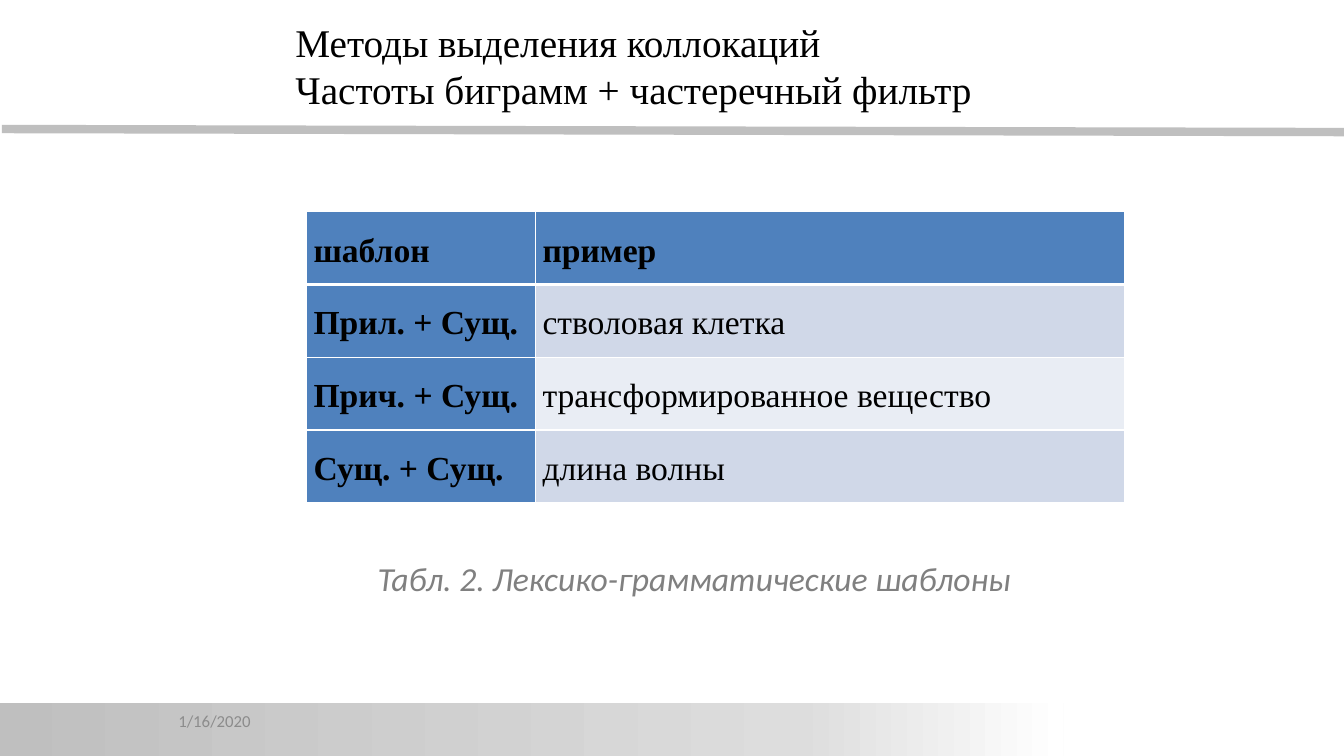
from copy import deepcopy

from lxml import etree
from pptx import Presentation
from pptx.dml.color import RGBColor
from pptx.enum.shapes import MSO_CONNECTOR, MSO_SHAPE
from pptx.enum.text import MSO_ANCHOR, PP_ALIGN
from pptx.oxml.ns import qn
from pptx.util import Inches, Pt

W, H = Inches(13.33), Inches(7.5)
STRAIGHT, RECT = MSO_CONNECTOR.STRAIGHT, MSO_SHAPE.RECTANGLE
TOP, MIDDLE = MSO_ANCHOR.TOP, MSO_ANCHOR.MIDDLE
LEFT, CENTER = PP_ALIGN.LEFT, PP_ALIGN.CENTER

BLACK = RGBColor(0x00, 0x00, 0x00)
WHITE = RGBColor(0xFF, 0xFF, 0xFF)
SILVER = RGBColor(0xBF, 0xBF, 0xBF)
PALE_GREY = RGBColor(0xDD, 0xDD, 0xDD)
DATE_GREY = RGBColor(0x8C, 0x8C, 0x8C)
CAPTION_GREY = RGBColor(0x80, 0x80, 0x80)
BLUE = RGBColor(0x4F, 0x81, 0xBD)
BANDS = (RGBColor(0xE9, 0xED, 0xF4), RGBColor(0xD0, 0xD8, 0xE8))

SERIF, SANS = "Times New Roman", "Calibri"
TITLE = ("Методы выделения коллокаций", "Частоты биграмм + частеречный фильтр")
PATTERNS = (
    ("шаблон", "пример"),
    ("Прил. + Сущ.", "стволовая клетка"),
    ("Прич. + Сущ.", "трансформированное вещество"),
    ("Сущ. + Сущ.", "длина волны"),
)
COLUMN_SHARES = (0.28, 0.72)


def box(left, top, width, height):
    return [int(size * share / 100)
            for size, share in zip((W, H, W, H), (left, top, width, height))]


def add_run(p, text, size, font, color, bold=False, italic=False):
    r = p.add_run()
    r.text = text
    r.font.size, r.font.name = Pt(size), font
    r.font.bold, r.font.italic = bold, italic
    r.font.color.rgb = color


def add_title(s, lines):
    sp = s.shapes.title
    sp.left, sp.top, sp.width, sp.height = box(21.23, 1.73, 59.11, 13.87)
    tf = sp.text_frame
    tf.word_wrap, tf.vertical_anchor = True, TOP
    for i, line in enumerate(lines):
        p = tf.add_paragraph() if i else tf.paragraphs[0]
        p.alignment = LEFT
        add_run(p, line, 28, SERIF, BLACK)


def add_rule(s):
    left, top, width, drop = box(0.15, 17.07, 100, 0.4)
    rule = s.shapes.add_connector(STRAIGHT, left, top, left + width, top + drop)
    rule.line.color.rgb, rule.line.width = SILVER, Pt(6)
    etree.SubElement(rule._element.spPr, qn("a:effectLst"))


def add_footer_bar(s, stops):
    sp = s.shapes.add_shape(RECT, *box(-0.08, 92.93, 79.22, 7.6))
    sp.shadow.inherit = False
    sp.line.fill.background()
    sp.fill.gradient()
    sp.fill.gradient_angle = 0
    gs_list = sp._element.spPr.find(".//" + qn("a:gsLst"))
    gs_list.append(deepcopy(gs_list[-1]))
    for stop, (position, color) in zip(sp.fill.gradient_stops, stops):
        stop.position, stop.color.rgb = position, color


def add_label(s, area, text, size, color, wrap=True, italic=False, align=LEFT):
    tf = s.shapes.add_textbox(*area).text_frame
    tf.word_wrap, tf.vertical_anchor = wrap, MIDDLE
    p = tf.paragraphs[0]
    p.alignment = align
    add_run(p, text, size, SANS, color, italic=italic)
    return p


def set_borders(cell, widths):
    tc_pr = cell._tc.get_or_add_tcPr()
    for i, (side, width) in enumerate(zip("LRTB", widths)):
        ln = etree.Element(qn("a:ln" + side), w=str(Pt(width)))
        fill = etree.SubElement(ln, qn("a:solidFill"))
        etree.SubElement(fill, qn("a:srgbClr"), val=str(WHITE))
        tc_pr.insert(i, ln)


def fill_cell(cell, text, row, col):
    heading = row == 0 or col == 0
    cell.fill.solid()
    cell.fill.fore_color.rgb = BLUE if heading else BANDS[row % 2]
    cell.vertical_anchor = MIDDLE
    cell.margin_left = cell.margin_right = Inches(0.07)
    cell.margin_top = cell.margin_bottom = 0
    p = cell.text_frame.paragraphs[0]
    p.line_spacing = 1.15
    add_run(p, text, 24, SERIF, BLACK, bold=heading)
    set_borders(cell, (1, 1, 3 if row == 1 else 1, 3 if row == 0 else 1))


def add_pattern_table(s, rows):
    area = box(22.81, 28, 60.84, 38.53)
    table = s.shapes.add_table(len(rows), len(rows[0]), *area).table
    for column, share in zip(table.columns, COLUMN_SHARES):
        column.width = int(area[2] * share)
    for i, texts in enumerate(rows):
        for j, text in enumerate(texts):
            fill_cell(table.cell(i, j), text, i, j)


def main():
    prs = Presentation()
    prs.slide_width, prs.slide_height = W, H
    s = prs.slides.add_slide(prs.slide_layouts[5])
    add_rule(s)
    add_footer_bar(s, ((0, SILVER), (0.75, PALE_GREY), (1, WHITE)))
    add_label(s, box(12.53, 92.67, 17.48, 5.33), "1/16/2020", 12, DATE_GREY)
    add_pattern_table(s, PATTERNS)
    caption = add_label(s, box(23.41, 73.07, 52.81, 6.67),
                        "Табл. 2. Лексико-грамматические шаблоны", 24,
                        CAPTION_GREY, wrap=False, italic=True, align=CENTER)
    caption._p.get_or_add_pPr().set("indent", str(Inches(0.49)))
    add_title(s, TITLE)
    prs.save("out.pptx")


if __name__ == "__main__":
    main()
